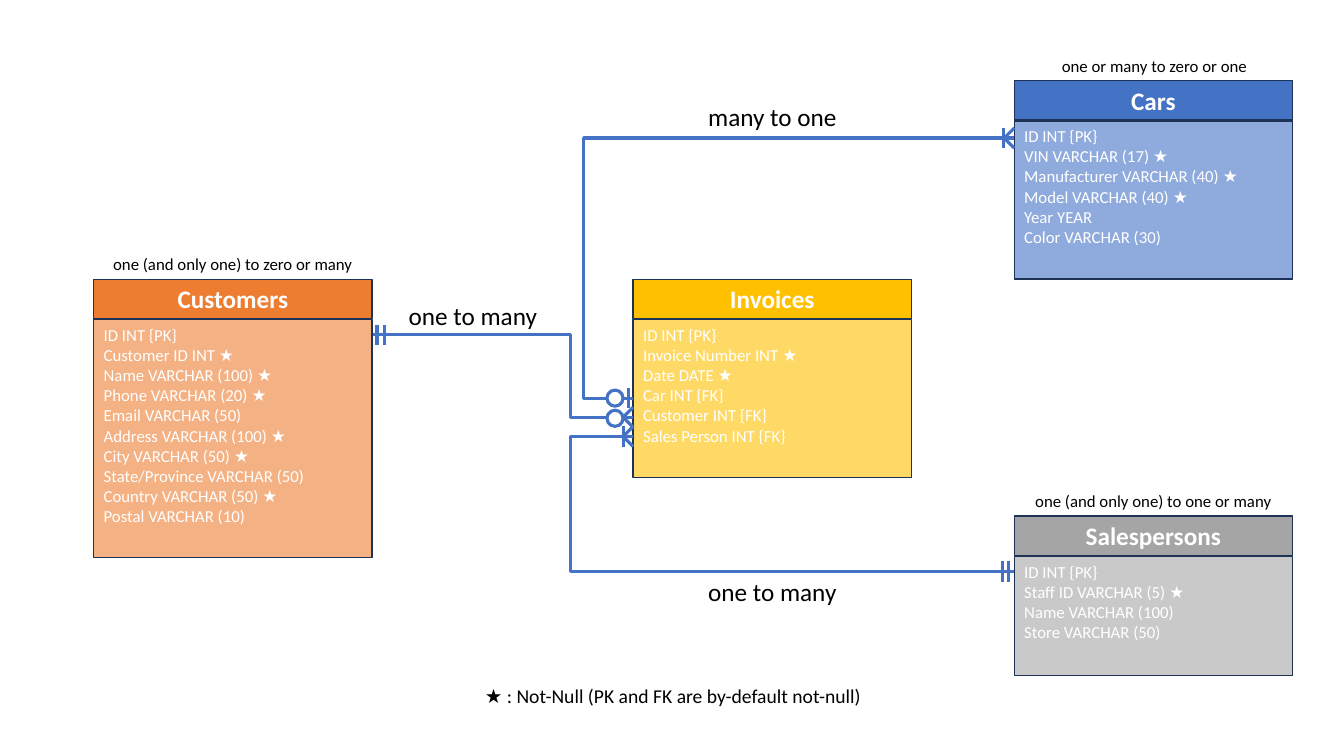
from lxml.etree import SubElement
from pptx import Presentation
from pptx.dml.color import RGBColor
from pptx.enum.shapes import MSO_CONNECTOR, MSO_SHAPE
from pptx.enum.text import MSO_ANCHOR, PP_ALIGN
from pptx.oxml.ns import qn
from pptx.util import Inches, Pt

HEX = {
    "white": "FFFFFF", "black": "000000", "edge": "1E3256", "link": "4472C4",
    "blue": "4472C4", "sky": "8FAADC", "orange": "ED7D31", "peach": "F4B183",
    "gray": "A5A5A5", "silver": "C9C9C9", "gold": "FFC000", "sand": "FFD966",
}
FONT = "Calibri"
WIDE, HEAD = 2.76, 0.39  # table width and header height

# name, left, top, body height, header colour, body colour, fields
TABLES = [
    ("Cars", 10.06, 0.8, 1.57, "blue", "sky",
     ["ID INT {PK}", "VIN VARCHAR (17) ★", "Manufacturer VARCHAR (40) ★",
      "Model VARCHAR (40) ★", "Year YEAR", "Color VARCHAR (30)"]),
    ("Customers", 0.93, 2.77, 2.36, "orange", "peach",
     ["ID INT {PK}", "Customer ID INT ★", "Name VARCHAR (100) ★",
      "Phone VARCHAR (20) ★", "Email VARCHAR (50)", "Address VARCHAR (100) ★",
      "City VARCHAR (50) ★", "State/Province VARCHAR (50)",
      "Country VARCHAR (50) ★", "Postal VARCHAR (10)"]),
    ("Salespersons", 10.06, 5.12, 1.18, "gray", "silver",
     ["ID INT {PK}", "Staff ID VARCHAR (5) ★", "Name VARCHAR (100)",
      "Store VARCHAR (50)"]),
    ("Invoices", 6.28, 2.77, 1.57, "gold", "sand",
     ["ID INT {PK}", "Invoice Number INT ★", "Date DATE ★", "Car INT {FK}",
      "Customer INT {FK}", "Sales Person INT {FK}"]),
]

# start x, start y, end x, end y, x of the upright part
LINKS = [
    (3.7, 3.32, 6.28, 4.14, 5.66),
    (6.28, 4.33, 10.06, 5.67, 5.66),
    (6.28, 3.95, 10.06, 1.37, 5.79),
]
BARS = [(3.74, 3.32), (3.81, 3.32), (9.95, 1.37), (6.23, 3.95),
        (6.18, 4.33), (9.94, 5.67), (10, 5.67)]
FEET = [(6.18, 4.14), (6.18, 4.33), (9.96, 1.37)]
RINGS = [(6.02, 3.87), (6.02, 4.07)]

# text, left, top, width, height, size
LABELS = [
    ("one or many to zero or one", 10.07, 0.5, WIDE, 0.3, 12),
    ("one (and only one) to zero or many", 0.93, 2.47, WIDE, 0.3, 12),
    ("one (and only one) to one or many", 10.06, 4.82, WIDE, 0.3, 12),
    ("many to one", 6.67, 0.96, 1.98, 0.4, 18),
    ("one to many", 3.7, 2.93, 1.98, 0.4, 18),
    ("one to many", 6.67, 5.67, 1.98, 0.4, 18),
    ("★ : Not-Null (PK and FK are by-default not-null)",
     3.98, 6.74, 5.39, 0.34, 14),
]


def color(name):
    return RGBColor.from_string(HEX[name])


def write(shape, text, size, tone, align, bold=False):
    frame = shape.text_frame
    frame.word_wrap = True
    frame.text = text
    for para in frame.paragraphs:
        para.alignment = align
        for run in para.runs:
            run.font.name = FONT
            run.font.size = Pt(size)
            run.font.bold = bold
            run.font.color.rgb = color(tone)


def draw(slide, kind, x, y, w, h, fill, line, weight):
    shape = slide.shapes.add_shape(
        kind, Inches(x), Inches(y), Inches(w), Inches(h))
    shape.shadow.inherit = False
    shape.fill.solid()
    shape.fill.fore_color.rgb = color(fill)
    shape.line.color.rgb = color(line)
    shape.line.width = Pt(weight)
    return shape


def entity(slide, name, x, y, tall, dark, light, fields):
    body = draw(slide, MSO_SHAPE.RECTANGLE, x, y + HEAD + 0.01, WIDE, tall,
                light, "edge", 1)
    body.text_frame.vertical_anchor = MSO_ANCHOR.TOP
    write(body, "\n".join(fields), 12, "white", PP_ALIGN.LEFT)
    head = draw(slide, MSO_SHAPE.RECTANGLE, x, y, WIDE, HEAD, dark, "edge", 1)
    head.text_frame.vertical_anchor = MSO_ANCHOR.MIDDLE
    write(head, name, 18, "white", PP_ALIGN.CENTER, True)


def join(slide, x1, y1, x2, y2, kind=MSO_CONNECTOR.STRAIGHT):
    line = slide.shapes.add_connector(
        kind, Inches(x1), Inches(y1), Inches(x2), Inches(y2))
    line.line.color.rgb = color("link")
    line.line.width = Pt(2.25)
    SubElement(line._element.spPr, qn("a:effectLst"))
    return line


def elbow(slide, x1, y1, x2, y2, turn):
    line = join(slide, x1, y1, x2, y2, MSO_CONNECTOR.ELBOW)
    geom = line._element.spPr.find(qn("a:prstGeom"))
    guide = SubElement(geom.find(qn("a:avLst")), qn("a:gd"))
    guide.set("name", "adj1")
    guide.set("fmla", f"val {round((turn - x1) / (x2 - x1) * 100000)}")


def label(slide, text, x, y, w, h, size):
    box = slide.shapes.add_textbox(
        Inches(x), Inches(y), Inches(w), Inches(h))
    write(box, text, size, "black", PP_ALIGN.CENTER)


def main():
    deck = Presentation()
    deck.slide_width, deck.slide_height = Inches(13.33), Inches(7.5)
    slide = deck.slides.add_slide(deck.slide_layouts[6])

    # Tables
    for table in TABLES:
        entity(slide, *table)

    # Relations and their crow's foot ends
    for link in LINKS:
        elbow(slide, *link)
    for x, y in BARS:
        join(slide, x, y - 0.1, x, y + 0.1)
    for x, y in FEET:
        for side in (-0.1, 0.1):
            join(slide, x, y, x + 0.1, y + side)
    for x, y in RINGS:
        draw(slide, MSO_SHAPE.OVAL, x, y, 0.16, 0.16, "white", "link", 2.25)

    # Captions and legend
    for item in LABELS:
        label(slide, *item)

    deck.save("out.pptx")


main()
